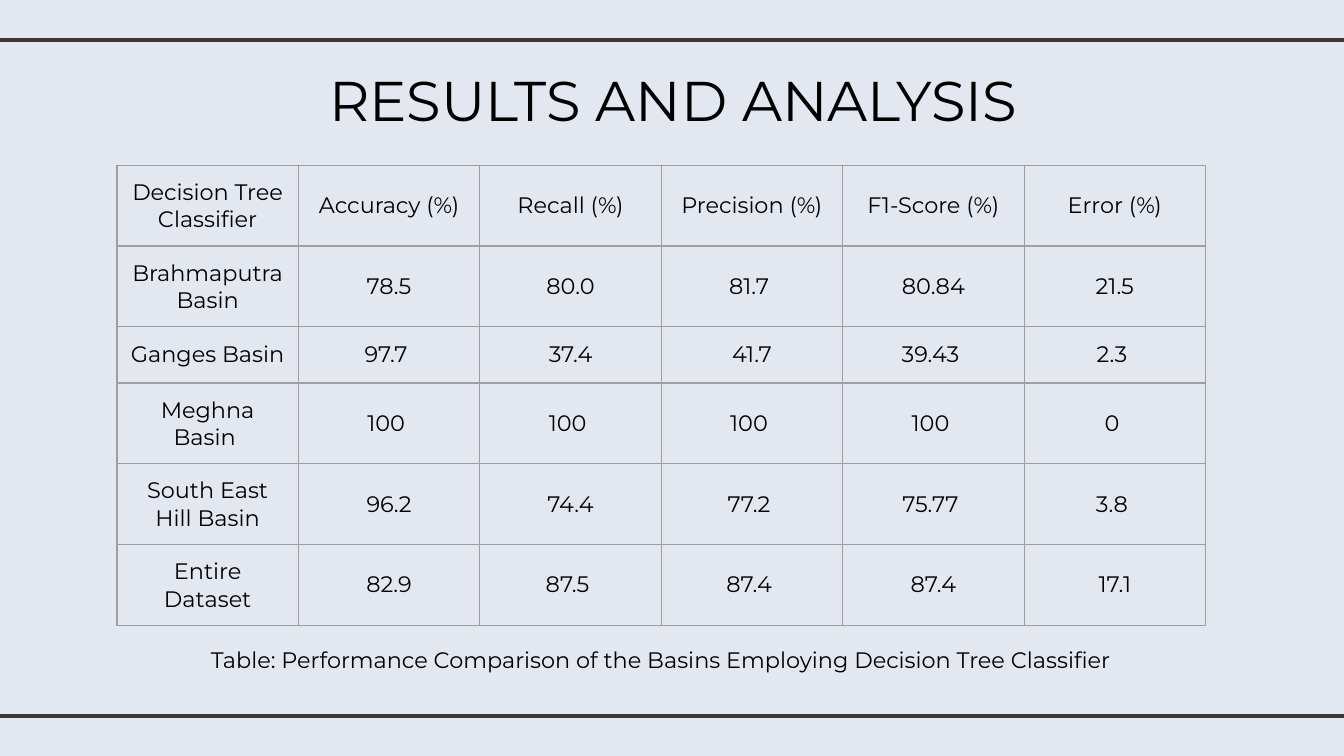
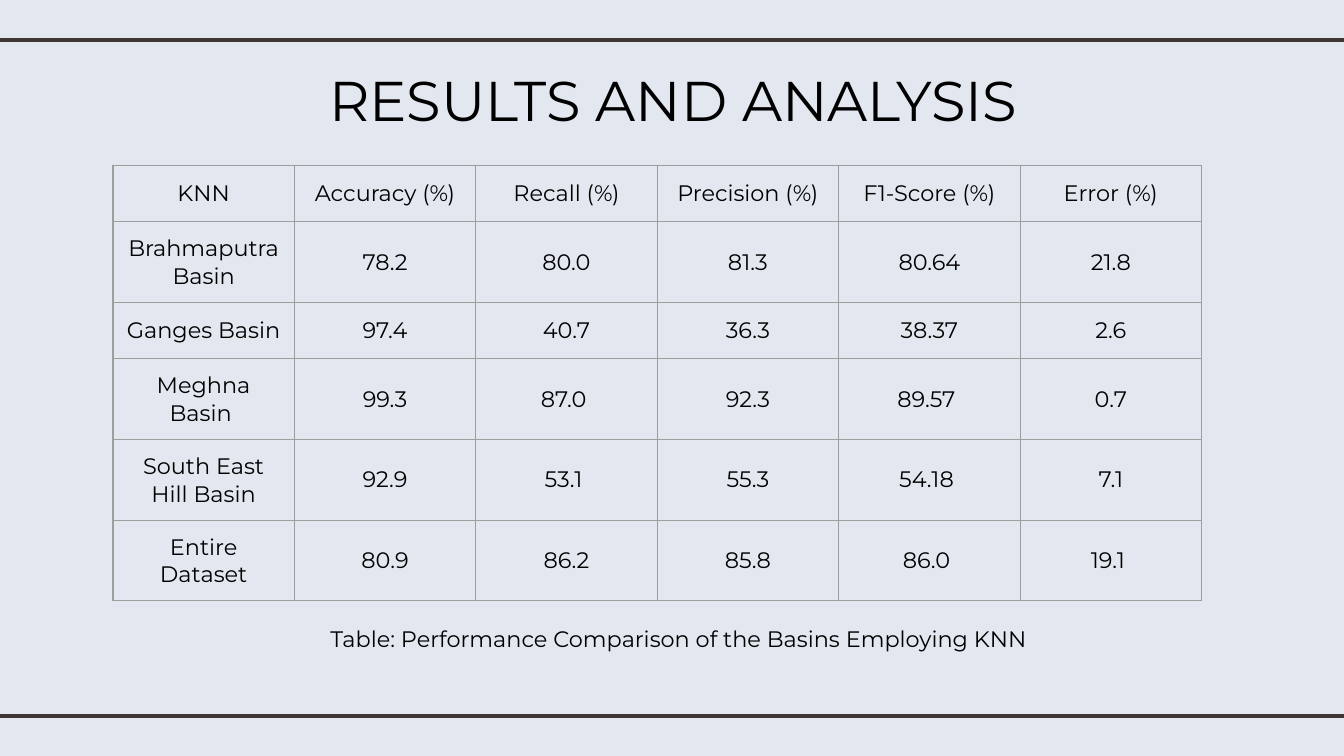
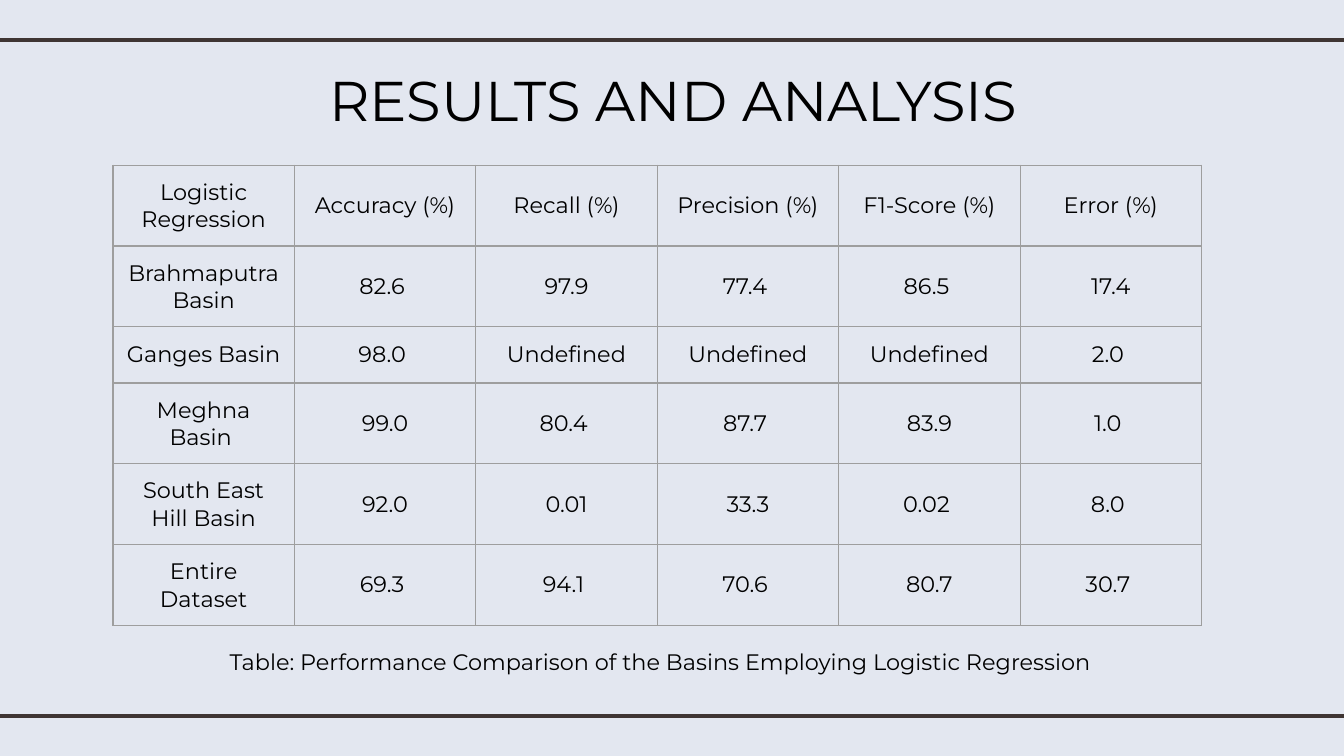
"""Build three result slides, one table of basin scores for each classifier."""
from dataclasses import dataclass

from lxml import etree
from pptx import Presentation
from pptx import util as u
from pptx.dml.color import RGBColor
from pptx.enum import shapes, text
from pptx.oxml import ns

TITLE = "RESULTS AND ANALYSIS"
METRICS = ["Accuracy (%)", "Recall (%)", "Precision (%)", "F1-Score (%)", "Error (%)"]
BASINS = ["Brahmaputra Basin", "Ganges Basin ", "Meghna Basin ", "South East Hill Basin", "Entire Dataset"]
RESULTS = [
    {
        "classifier": "Decision Tree Classifier",
        "scores": [
            ["78.5", "80.0", "81.7 ", "80.84", "21.5"],
            ["97.7 ", "37.4", "41.7", "39.43 ", "2.3 "],
            ["100 ", "100 ", "100 ", "100 ", "0 "],
            ["96.2", "74.4", "77.2 ", "75.77 ", "3.8 "],
            ["82.9", "87.5 ", "87.4 ", "87.4", "17.1"],
        ],
        "table_left": 0.87,
        "caption_at": (1.47, 4.71),
    },
    {
        "classifier": "KNN",
        "scores": [
            ["78.2", "80.0", "81.3", "80.64", "21.8"],
            ["97.4", "40.7", "36.3", "38.37", "2.6"],
            ["99.3", "87.0 ", "92.3", "89.57 ", "0.7"],
            ["92.9", "53.1 ", "55.3", "54.18 ", "7.1"],
            ["80.9", "86.2", "85.8", "86.0 ", "19.1 "],
        ],
        "table_left": 0.84,
        "caption_at": (2.36, 4.55),
    },
    {
        "classifier": "Logistic Regression",
        "scores": [
            ["82.6 ", "97.9", "77.4 ", "86.5 ", "17.4"],
            ["98.0 ", "Undefined", "Undefined", "Undefined", "2.0 "],
            ["99.0", "80.4 ", "87.7 ", "83.9", "1.0 "],
            ["92.0", "0.01", "33.3", "0.02 ", "8.0 "],
            ["69.3 ", "94.1 ", "70.6 ", "80.7", "30.7 "],
        ],
        "table_left": 0.84,
        "caption_at": (1.61, 4.72),
    },
]


@dataclass(frozen=True)
class Theme:
    background: str = "E3E7F0"
    rule: str = "3F3533"
    border: str = "9E9E9E"
    ink: str = "000000"
    font: str = "Montserrat"
    title_size: int = 30
    body_size: int = 12
    rule_width: float = 2.25
    border_width: float = 0.75


THEME = Theme()
SLIDE_WIDTH = 10
SLIDE_HEIGHT = SLIDE_WIDTH * 9 / 16
RULE_TOPS = (0.3, 5.33)
RULE_ENDS = (-0.08, 10.08)
TITLE_BOX = (2.01, 0.39, 6, 0.71)
CAPTION_SIZE = (7.4, 0.4)
TABLE_TOP = 1.23
COLUMN_WIDTH = 1.35
ROW_HEIGHT = 0.42
INSET = u.Inches(0.1)


def style_paragraph(paragraph, size, alignment):
    paragraph.alignment = alignment
    paragraph.font.name = THEME.font
    paragraph.font.size = u.Pt(size)
    paragraph.font.color.rgb = RGBColor.from_string(THEME.ink)


def set_margins(holder):
    holder.margin_left = holder.margin_right = INSET
    holder.margin_top = holder.margin_bottom = INSET


def add_text(slide, box, words, size, alignment):
    frame = slide.shapes.add_textbox(*map(u.Inches, box)).text_frame
    frame.word_wrap = True
    set_margins(frame)
    frame.text = words
    style_paragraph(frame.paragraphs[0], size, alignment)


def add_rule(slide, top):
    start, end = map(u.Inches, RULE_ENDS)
    height = u.Inches(top)
    rule = slide.shapes.add_connector(shapes.MSO_CONNECTOR.STRAIGHT, start, height, end, height)
    rule.line.color.rgb = RGBColor.from_string(THEME.rule)
    rule.line.width = u.Pt(THEME.rule_width)
    etree.SubElement(rule._element.spPr, ns.qn("a:effectLst"))


def add_borders(cell):
    properties = cell._tc.get_or_add_tcPr()
    for position, side in enumerate(("a:lnL", "a:lnR", "a:lnT", "a:lnB")):
        border = etree.Element(ns.qn(side), w=str(u.Pt(THEME.border_width)))
        fill = etree.SubElement(border, ns.qn("a:solidFill"))
        etree.SubElement(fill, ns.qn("a:srgbClr"), val=THEME.border)
        properties.insert(position, border)


def add_score_table(slide, result):
    rows = [[result["classifier"], *METRICS]]
    rows += [[basin, *scores] for basin, scores in zip(BASINS, result["scores"])]
    row_count, column_count = len(rows), len(rows[0])
    box = (result["table_left"], TABLE_TOP, column_count * COLUMN_WIDTH, row_count * ROW_HEIGHT)
    table = slide.shapes.add_table(row_count, column_count, *map(u.Inches, box)).table
    table.first_row = table.horz_banding = False
    for row, values in zip(table.rows, rows):
        row.height = u.Inches(ROW_HEIGHT)
        for cell, value in zip(row.cells, values):
            cell.text = value
            cell.vertical_anchor = text.MSO_ANCHOR.MIDDLE
            set_margins(cell)
            cell.fill.background()
            add_borders(cell)
            style_paragraph(cell.text_frame.paragraphs[0], THEME.body_size, text.PP_ALIGN.CENTER)


def add_result_slide(presentation, result):
    slide = presentation.slides.add_slide(presentation.slide_layouts[6])
    for top in RULE_TOPS:
        add_rule(slide, top)
    add_text(slide, TITLE_BOX, TITLE, THEME.title_size, text.PP_ALIGN.CENTER)
    add_score_table(slide, result)
    caption = f"Table: Performance Comparison of the Basins Employing {result['classifier']}"
    add_text(slide, result["caption_at"] + CAPTION_SIZE, caption, THEME.body_size, text.PP_ALIGN.LEFT)


def main():
    presentation = Presentation()
    presentation.slide_width = u.Inches(SLIDE_WIDTH)
    presentation.slide_height = u.Inches(SLIDE_HEIGHT)
    background = presentation.slide_master.background.fill
    background.solid()
    background.fore_color.rgb = RGBColor.from_string(THEME.background)
    for result in RESULTS:
        add_result_slide(presentation, result)
    presentation.save("out.pptx")


if __name__ == "__main__":
    main()
